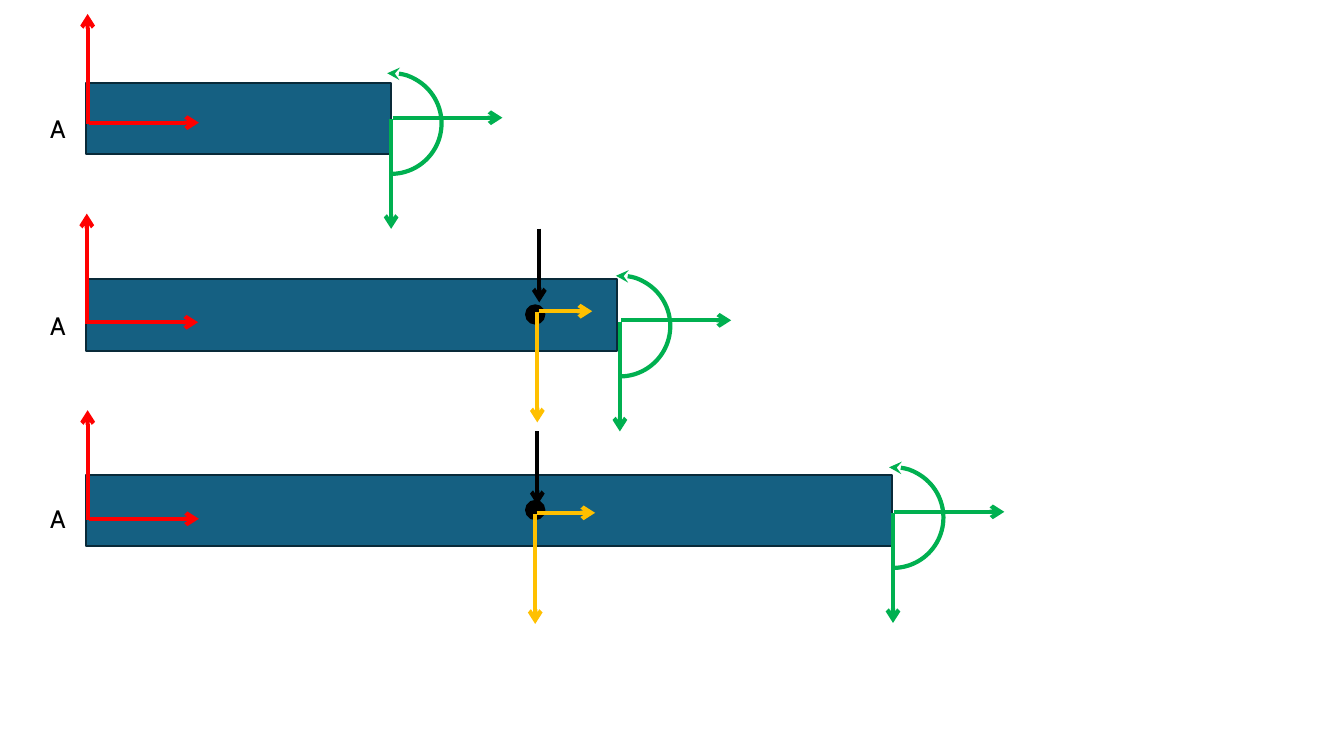
import pptx
import pptx.dml.color
import pptx.enum.shapes
import pptx.enum.text
import pptx.util
import lxml.etree
from pptx.oxml.ns import qn

Pt = pptx.util.Pt
SHAPES = pptx.enum.shapes.MSO_SHAPE
COLORS = {
    "beam": "156082",
    "beam_edge": "092A39",
    "support": "FF0000",
    "section": "00B050",
    "load": "FFC000",
    "black": "000000",
}
FORCE = 78.5
BEAM_LEFT, BEAM_HEIGHT = 61.2, 51.1

BEAMS = [
    dict(top=59, width=218.2, support=(62.6, 29.5), cut=(0, 26), label_drop=18.7),
    dict(top=199.4, width=379.4, support=(62, 31.7), cut=(2.2, 30.3), label_drop=18.7,
         load=dict(corner=(383.8, 23.8), reach=38.2, weight=(385.2, -36))),
    dict(top=339.1, width=576, support=(62.6, 32.4), cut=(0.7, 27.4), label_drop=16.6,
         load=dict(corner=(382.3, 28.1), reach=41.8, weight=(383.8, -30.9))),
]


def rgb(name):
    return pptx.dml.color.RGBColor.from_string(COLORS[name])


def style_line(item, color, width, head=None):
    item.line.color.rgb = rgb(color)
    item.line.width = Pt(width)
    if head:
        lxml.etree.SubElement(item.line._get_or_add_ln(), qn("a:tailEnd"), type=head)


def add_solid(slide, kind, box, fill, edge):
    solid = slide.shapes.add_shape(kind, *map(Pt, box))
    solid.shadow.inherit = False
    solid.fill.solid()
    solid.fill.fore_color.rgb = rgb(fill)
    style_line(solid, edge, 1.5)


def add_text(slide, text, box, size=18, font="Cabin", color="black"):
    frame = slide.shapes.add_textbox(*map(Pt, box)).text_frame
    frame.word_wrap = False
    frame.auto_size = pptx.enum.text.MSO_AUTO_SIZE.SHAPE_TO_FIT_TEXT
    run = frame.paragraphs[0].add_run()
    run.text = text
    run.font.size = Pt(size)
    run.font.name = font
    run.font.color.rgb = rgb(color)


def add_arrow(slide, x, y, dx, dy, color):
    arrow = slide.shapes.add_connector(
        pptx.enum.shapes.MSO_CONNECTOR.STRAIGHT, Pt(x), Pt(y), Pt(x + dx), Pt(y + dy))
    style_line(arrow, color, 3, "arrow")
    lxml.etree.SubElement(arrow._element.spPr, qn("a:effectLst"))


def add_force_pair(slide, x, y, across, down, color):
    add_arrow(slide, x, y, 0, down, color)
    add_arrow(slide, x + 1, y - 0.9, across, 0, color)


def add_moment(slide, x, y, radius=36):
    moment = slide.shapes.add_shape(
        SHAPES.ARC, Pt(x - radius), Pt(y - radius), Pt(2 * radius), Pt(2 * radius))
    moment.shadow.inherit = False
    moment.fill.background()
    moment.adjustments[0] = 163.33
    moment.adjustments[1] = 56.68
    moment._element.spPr.xfrm.set("flipV", "1")
    style_line(moment, "section", 3, "stealth")


def add_load(slide, top, corner, reach, weight):
    add_solid(slide, SHAPES.OVAL, (375.8, top + 18.7, 13, 13), "black", "black")
    add_force_pair(slide, corner[0], top + corner[1], reach, FORCE, "load")
    add_arrow(slide, weight[0], top + weight[1], 0, 52.6, "black")


def add_beam(slide, left, top, width, height, support, cut, label_drop, load=None):
    add_solid(slide, SHAPES.RECTANGLE, (left, top, width, height), "beam", "beam_edge")
    add_text(slide, "A", (left - 32.4, top + label_drop, 25.2, 28.8))
    add_force_pair(slide, support[0], top + support[1], FORCE, -FORCE, "support")
    cut_x, cut_y = left + width + cut[0], top + cut[1]
    add_force_pair(slide, cut_x, cut_y, FORCE, FORCE, "section")
    add_moment(slide, cut_x, cut_y + 3.2)
    if load:
        add_load(slide, top, **load)


def main():
    deck = pptx.Presentation()
    deck.slide_width, deck.slide_height = Pt(960), Pt(540)
    slide = deck.slides.add_slide(deck.slide_layouts[6])
    for beam in BEAMS:
        add_beam(slide, left=BEAM_LEFT, height=BEAM_HEIGHT, **beam)
    deck.save("out.pptx")


if __name__ == "__main__":
    main()
